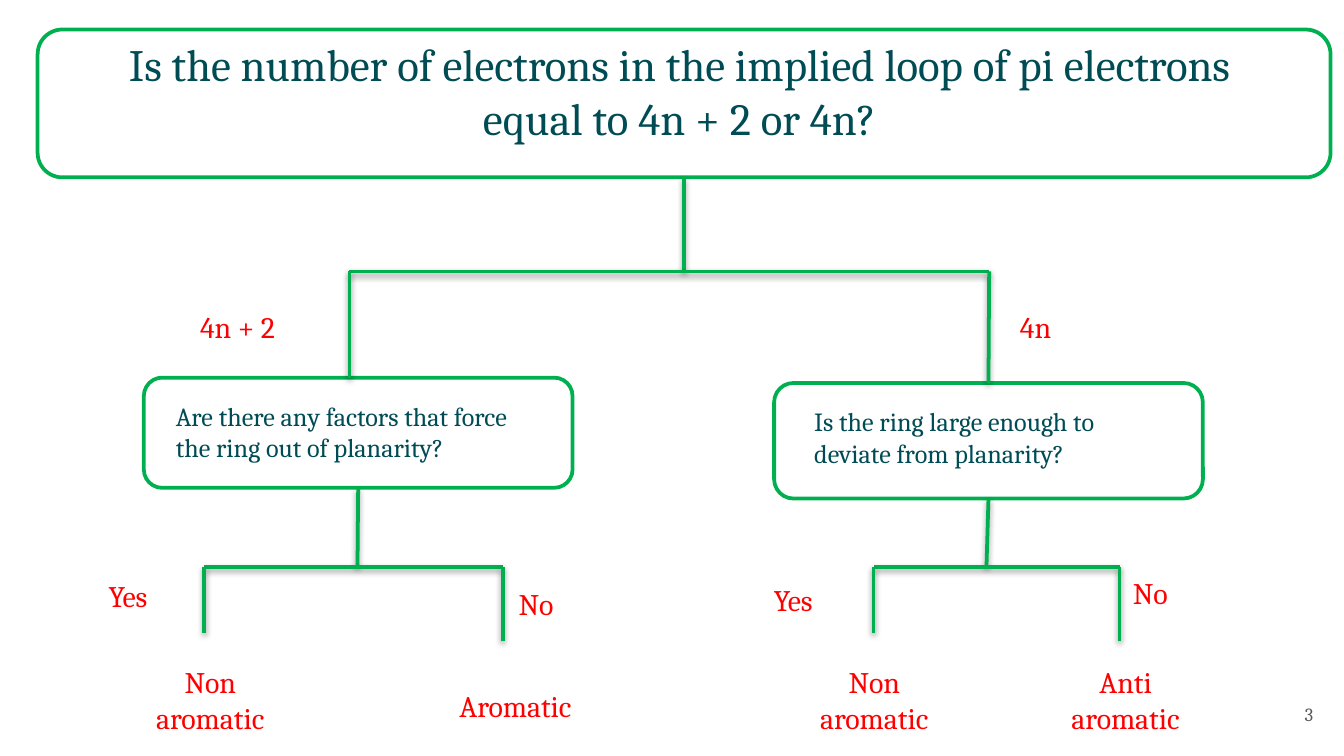
from lxml import etree
from pptx import Presentation
from pptx.dml.color import RGBColor
from pptx.enum.shapes import MSO_CONNECTOR, MSO_SHAPE
from pptx.enum.text import MSO_ANCHOR, MSO_AUTO_SIZE, PP_ALIGN
from pptx.oxml.ns import qn
from pptx.util import Inches, Pt

STRAIGHT = MSO_CONNECTOR.STRAIGHT
ROUNDED = MSO_SHAPE.ROUNDED_RECTANGLE
LEFT, CENTER, RIGHT = PP_ALIGN.LEFT, PP_ALIGN.CENTER, PP_ALIGN.RIGHT
TOP, MIDDLE = MSO_ANCHOR.TOP, MSO_ANCHOR.MIDDLE
GROW = MSO_AUTO_SIZE.SHAPE_TO_FIT_TEXT
TOP_SIDE, BOTTOM_SIDE = 0, 2

FONT = "Cambria"
COLORS = {"question": "004C54", "answer": "FF0000", "tree": "00B050",
          "page": "595959", "shadow": "000000"}
COLUMNS, ROWS = 100, 56.25  # square cells, a tenth of an inch wide
LINE_WIDTH = Pt(2)
ANSWER_WIDTH, ANSWER_HEIGHT = 12.1, 3.7


def cells(count):
    return Inches(count / 10)


def color(role):
    return RGBColor.from_string(COLORS[role])


def add_text(slide, area, paragraphs, size, role, align=LEFT, anchor=TOP):
    box = slide.shapes.add_textbox(*map(cells, area))
    frame = box.text_frame
    frame.word_wrap = True
    frame.vertical_anchor = anchor
    if anchor == TOP:
        frame.auto_size = GROW
    for index, text in enumerate(paragraphs):
        paragraph = frame.paragraphs[0] if index == 0 else frame.add_paragraph()
        paragraph.alignment = align
        run = paragraph.add_run()
        run.text = text
        run.font.name = FONT
        run.font.size = Pt(size)
        run.font.color.rgb = color(role)


def add_answer(slide, left, top, *paragraphs, align=LEFT,
               width=ANSWER_WIDTH, height=ANSWER_HEIGHT):
    area = (left, top, width, height)
    add_text(slide, area, paragraphs, 16, "answer", align)


def add_frame(slide, *area):
    frame = slide.shapes.add_shape(ROUNDED, *map(cells, area))
    frame.shadow.inherit = False
    frame.fill.background()
    frame.line.color.rgb = color("tree")
    frame.line.width = LINE_WIDTH
    return frame


def add_shadow(connector):
    effects = etree.SubElement(connector._element.spPr, qn("a:effectLst"))
    shadow = etree.SubElement(effects, qn("a:outerShdw"), blurRad="40000",
                              dist="20000", dir="5400000", rotWithShape="0")
    tint = etree.SubElement(shadow, qn("a:srgbClr"), val=COLORS["shadow"])
    etree.SubElement(tint, qn("a:alpha"), val="38000")


def add_branch(slide, x1, y1, x2, y2):
    branch = slide.shapes.add_connector(
        STRAIGHT, cells(x1), cells(y1), cells(x2), cells(y2))
    branch.line.color.rgb = color("tree")
    branch.line.width = LINE_WIDTH
    add_shadow(branch)
    return branch


def add_fork(slide, parent, stem_x, bar_y, left, right):
    """Draw a stem from parent, a bar, and drops to the (x, y) ends left and right."""
    stem = add_branch(slide, stem_x, bar_y, stem_x, bar_y)
    stem.begin_connect(parent, BOTTOM_SIDE)
    add_branch(slide, left[0], bar_y, right[0], bar_y)
    return [add_branch(slide, x, bar_y, x, end_y) for x, end_y in (left, right)]


def main():
    presentation = Presentation()
    presentation.slide_width = cells(COLUMNS)
    presentation.slide_height = cells(ROWS)
    slide = presentation.slides.add_slide(presentation.slide_layouts[6])

    root = add_frame(slide, 2.8, 2.2, 96.2, 11)
    planarity = add_frame(slide, 10.7, 28.1, 31.9, 8.2)
    ring_size = add_frame(slide, 57.6, 28.5, 31.9, 8.6)

    _, ring_drop = add_fork(slide, root, 50.9, 20.2, (26, 28.1), (73.6, 28.1))
    ring_drop.end_connect(ring_size, TOP_SIDE)
    add_fork(slide, planarity, 26.6, 42.2, (15.2, 47.1), (37.4, 47.7))
    add_fork(slide, ring_size, 73.4, 42.2, (65, 47.1), (83.3, 47.7))

    add_text(slide, (5.3, 3.1, 90.5, 7.3),
             ["Is the number of electrons in the implied loop of pi electrons "
              "equal to 4n + 2 or 4n?"], 24, "question", CENTER, MIDDLE)
    add_text(slide, (12.1, 29.3, 27.9, 5.7),
             ["Are there any factors that force the ring out of planarity?"],
             14, "question")
    add_text(slide, (59.6, 29.7, 27.9, 5.7),
             ["Is the ring large enough to deviate from planarity?"],
             14, "question")

    add_answer(slide, 13.9, 22.5, "4n + 2")
    add_answer(slide, 74.9, 22.5, "4n", width=6.8)
    add_answer(slide, 7.1, 42.5, "Yes")
    add_answer(slide, 37.6, 43.1, "No")
    add_answer(slide, 56.6, 42.8, "Yes")
    add_answer(slide, 83.3, 42.3, "No")

    add_answer(slide, 9.6, 48.9, "Non aromatic", align=CENTER, height=6.4)
    add_answer(slide, 33.2, 50.7, "Aromatic")
    add_answer(slide, 59, 48.9, "Non aromatic", align=CENTER, height=6.4)
    add_answer(slide, 77.7, 48.9, "Anti", "aromatic", align=CENTER, height=6.4)

    add_text(slide, (92.7, 51, 6, 4.3), ["3"], 10, "page", RIGHT, MIDDLE)
    presentation.save("out.pptx")


if __name__ == "__main__":
    main()
